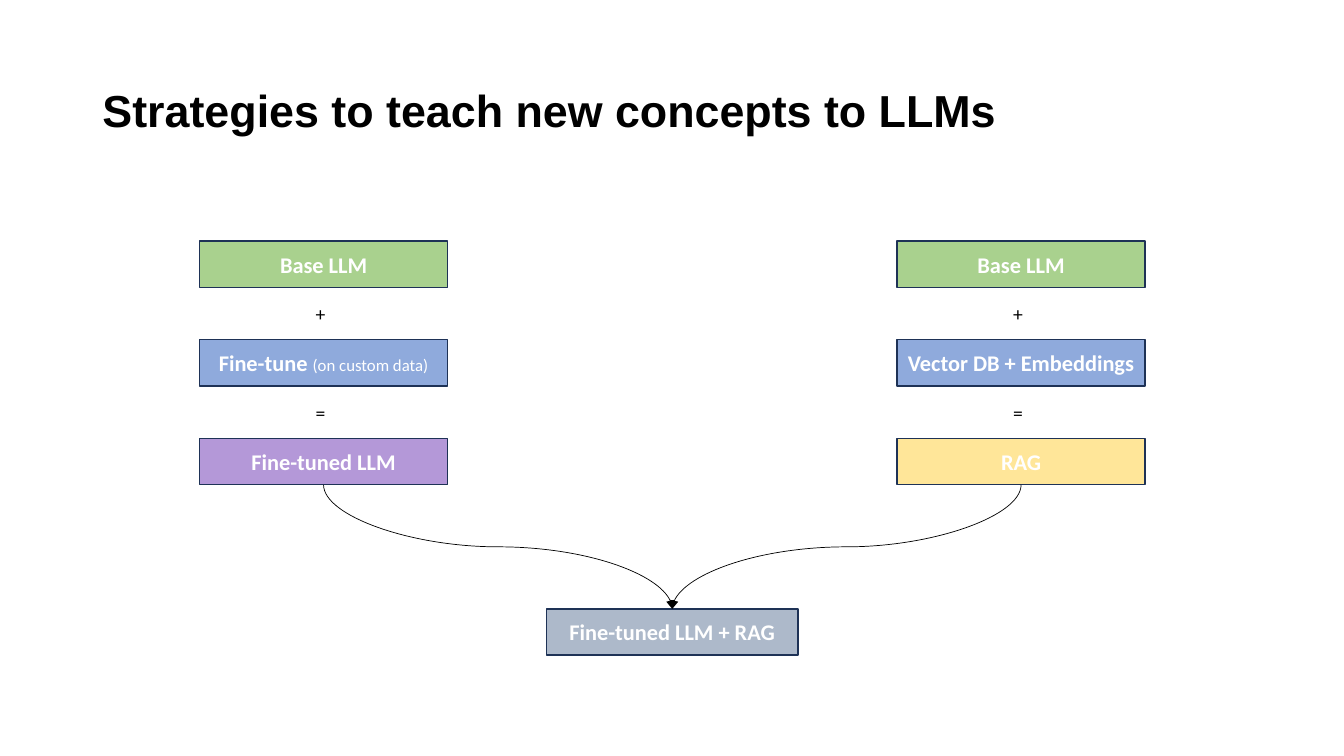
from lxml import etree
from pptx import Presentation
from pptx import util as u
from pptx.dml.color import RGBColor
from pptx.enum import shapes, text
from pptx.oxml.ns import qn

Pt = u.Pt


def rgb(value):
    return RGBColor.from_string(value)


class Diagram:
    font = "Calibri"
    white, black, border = "FFFFFF", "000000", "1E3256"
    box_h = 33.1

    def __init__(self, slide):
        self.s = slide

    def style(self, r, size, color, bold=False, font=None):
        r.font.name = font or self.font
        r.font.size = Pt(size)
        r.font.bold = bold
        r.font.color.rgb = rgb(color)

    def centre(self, tf):
        tf.margin_left = tf.margin_right = Pt(3.6)
        tf.word_wrap = True
        tf.vertical_anchor = text.MSO_ANCHOR.MIDDLE
        p = tf.paragraphs[0]
        p.alignment = text.PP_ALIGN.CENTER
        return p

    def title(self, words):
        sp = self.s.shapes.title
        sp.left, sp.top, sp.width, sp.height = Pt(66), Pt(28.75), Pt(828), Pt(104.4)
        tf = sp.text_frame
        tf.text = words
        tf.auto_size = text.MSO_AUTO_SIZE.NONE
        tf.vertical_anchor = text.MSO_ANCHOR.MIDDLE
        p = tf.paragraphs[0]
        p.alignment = text.PP_ALIGN.LEFT
        p.line_spacing = 0.9
        self.style(p.runs[0], 32, self.black, True, "Arial")

    def box(self, x, y, w, fill, label, note=""):
        sp = self.s.shapes.add_shape(
            shapes.MSO_SHAPE.RECTANGLE, Pt(x), Pt(y), Pt(w), Pt(self.box_h))
        sp.shadow.inherit = False
        sp.fill.solid()
        sp.fill.fore_color.rgb = rgb(fill)
        sp.line.color.rgb = rgb(self.border)
        sp.line.width = Pt(1)
        p = self.centre(sp.text_frame)
        r = p.add_run()
        r.text = label
        self.style(r, 16, self.white, True)
        if note:
            r = p.add_run()
            r.text = note
            self.style(r, 12, self.white)
        return sp

    def sign(self, x, y, symbol):
        sp = self.s.shapes.add_textbox(Pt(x), Pt(y), Pt(59), Pt(24.5))
        p = self.centre(sp.text_frame)
        p.text = symbol
        self.style(p.runs[0], 14, self.black)

    def curve(self, source, target):
        c = self.s.shapes.add_connector(shapes.MSO_CONNECTOR.CURVE, 0, 0, 0, 0)
        c.begin_connect(source, 2)
        c.end_connect(target, 0)
        rightward = c.end_x > c.begin_x
        mid_x, mid_y = (c.begin_x + c.end_x) // 2, (c.begin_y + c.end_y) // 2
        span, drop = abs(c.end_x - c.begin_x), c.end_y - c.begin_y
        c.left, c.top = mid_x - drop // 2, mid_y - span // 2
        c.width, c.height = drop, span
        xfrm = c._element.spPr.find(qn("a:xfrm"))
        xfrm.set("rot", str((270 if rightward else 90) * 60000))
        xfrm.set("flipH", "1" if rightward else "0")
        c.line.color.rgb = rgb(self.black)
        c.line.width = Pt(0.5)
        etree.SubElement(c.line._get_or_add_ln(), qn("a:tailEnd"), type="triangle")
        etree.SubElement(c._element.spPr, qn("a:effectLst"))

    def column(self, x, steps):
        top, pitch, w = 172.1, 70.55, 177.1
        for i, step in enumerate(steps):
            sp = self.box(x, top + i * pitch, w, *step)
        for i, symbol in enumerate("+="):
            self.sign(x + 56.9, top + 39.6 + i * pitch, symbol)
        return sp


def main():
    prs = Presentation()
    prs.slide_width, prs.slide_height = Pt(960), Pt(540)
    d = Diagram(prs.slides.add_slide(prs.slide_layouts[5]))
    d.title("Strategies to teach new concepts to LLMs")
    base = ("A9D18E", "Base LLM")
    rag = d.column(640.8, [
        base,
        ("8FAADC", "Vector DB + Embeddings"),
        ("FFE699", "RAG"),
    ])
    tuned = d.column(142.6, [
        base,
        ("8FAADC", "Fine-tune ", "(on custom data)"),
        ("B498D8", "Fine-tuned LLM"),
    ])
    combined = d.box(390.2, 434.9, 180, "ADB9CA", "Fine-tuned LLM + RAG")
    for source in (tuned, rag):
        d.curve(source, combined)
    prs.save("out.pptx")


if __name__ == "__main__":
    main()
